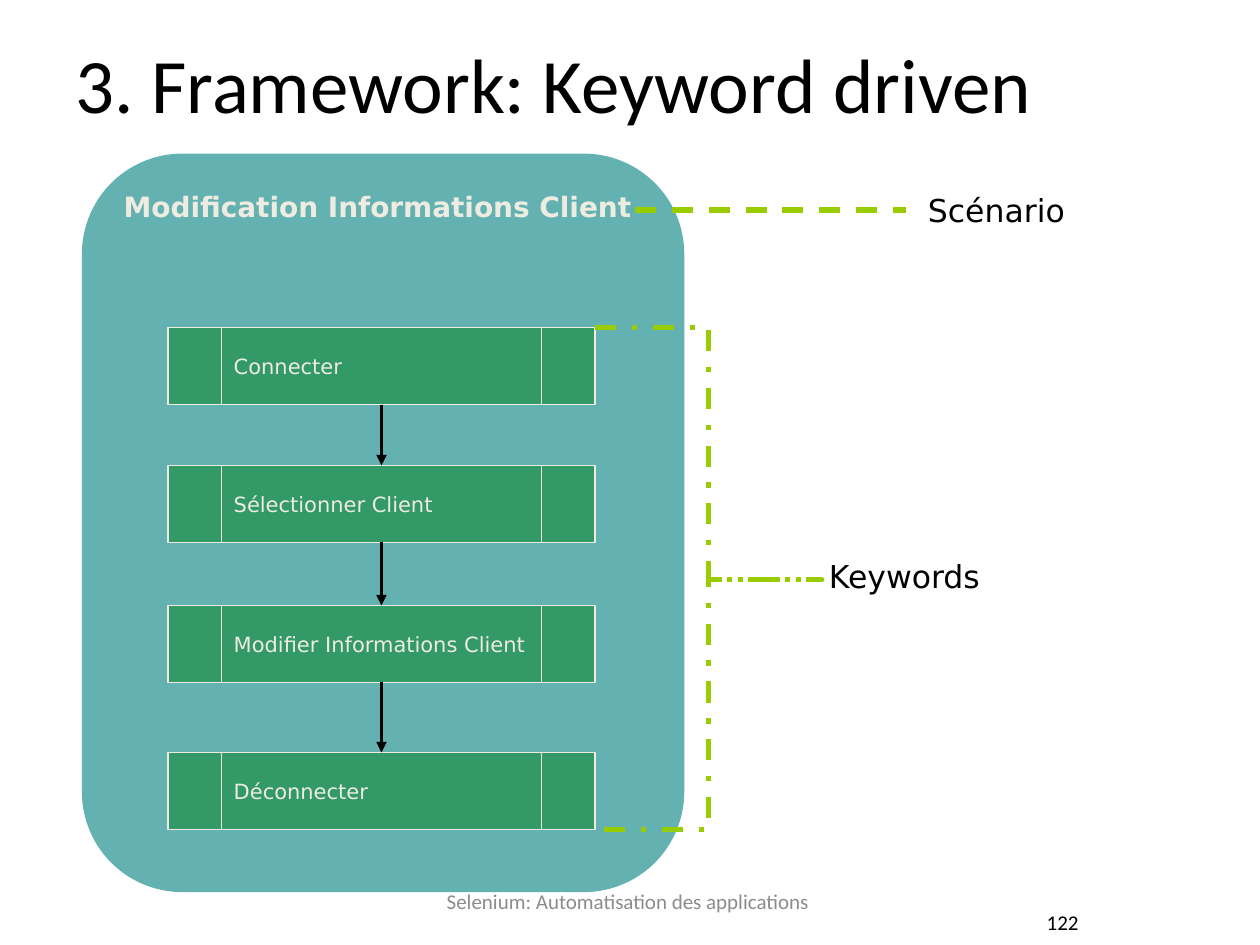
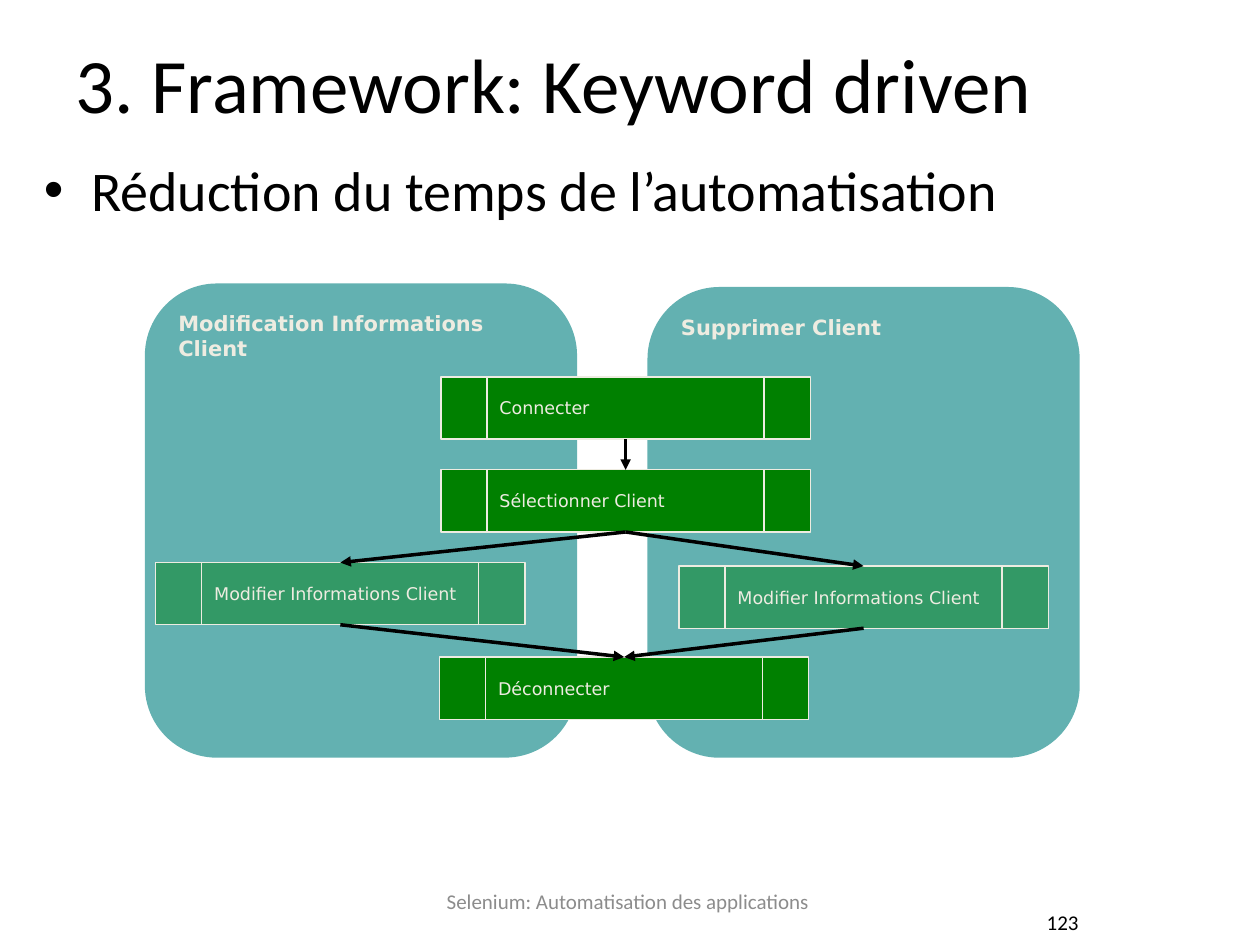
from dataclasses import dataclass
from itertools import pairwise

from lxml import etree
from pptx import Presentation
from pptx.dml.color import RGBColor
from pptx.enum.dml import MSO_LINE
from pptx.enum.shapes import MSO_CONNECTOR, MSO_SHAPE
from pptx.enum.text import MSO_ANCHOR, MSO_AUTO_SIZE, PP_ALIGN
from pptx.oxml.ns import qn
from pptx.util import Pt

ROUNDED, PROCESS, BRACE = (
    MSO_SHAPE.ROUNDED_RECTANGLE,
    MSO_SHAPE.FLOWCHART_PREDEFINED_PROCESS,
    MSO_SHAPE.RIGHT_BRACE,
)
STRAIGHT = MSO_CONNECTOR.STRAIGHT
DASH, DASH_DOT = MSO_LINE.DASH, MSO_LINE.DASH_DOT
TOP, MIDDLE = MSO_ANCHOR.TOP, MSO_ANCHOR.MIDDLE
LEFT, CENTER, RIGHT = PP_ALIGN.LEFT, PP_ALIGN.CENTER, PP_ALIGN.RIGHT
FIT_NONE = MSO_AUTO_SIZE.NONE
TOP_SITE, BOTTOM_SITE = 0, 2
TITLE_ONLY = 5


@dataclass(frozen=True)
class Theme:
    text: str = "000000"
    muted: str = "8C8C8C"
    light: str = "EEECE1"
    panel: str = "008080"
    step: str = "339966"
    shared_step: str = "008000"
    accent: str = "99CC00"
    panel_opacity: int = 61
    title_font: str = "Calibri"
    diagram_font: str = "DejaVu Sans"
    title_size: int = 44
    bullet_size: int = 32
    label_size: int = 18
    footer_size: int = 12
    scenario_size: int = 16
    step_size: int = 12
    small_scenario_size: int = 12
    small_step_size: int = 10
    hairline: float = 0.75
    arrow_line: int = 2
    callout_line: int = 3


def rgb(value):
    return RGBColor.from_string(value)


def write(frame, text, *, size, font, color, bold=False, align=LEFT,
          anchor=TOP, wrap=True):
    frame.auto_size = FIT_NONE
    frame.word_wrap = wrap
    frame.vertical_anchor = anchor
    para = frame.paragraphs[0]
    para.alignment = align
    span = para.add_run()
    span.text = text
    span.font.size = Pt(size)
    span.font.name = font
    span.font.bold = bold
    span.font.color.rgb = rgb(color)
    return para


class Page:
    """Draws elements on the current slide in one style."""

    def __init__(self, deck, theme):
        self.deck = deck
        self.theme = theme
        self.slide = None

    def start(self, title, footer, number):
        theme = self.theme
        layout = self.deck.slide_layouts[TITLE_ONLY]
        self.slide = self.deck.slides.add_slide(layout)
        box = self.slide.shapes.title
        box.left, box.top, box.width, box.height = map(Pt, (36, 17.3, 648, 90))
        write(box.text_frame, title, size=theme.title_size,
              font=theme.title_font, color=theme.text)
        self.text(footer, 244.7, 500.4, 228.2, 28.8, size=theme.footer_size,
                  color=theme.muted, align=CENTER, anchor=MIDDLE)
        self.text(number, 541.4, 511.2, 82.1, 31, size=theme.footer_size,
                  align=RIGHT, anchor=MIDDLE)

    def text(self, text, left, top, width, height, **style):
        style = {"font": self.theme.title_font, "color": self.theme.text} | style
        box = self.slide.shapes.add_textbox(*map(Pt, (left, top, width, height)))
        return write(box.text_frame, text, **style)

    def label(self, text, left, top):
        self.text(text, left, top, 110, 29, size=self.theme.label_size,
                  font=self.theme.diagram_font)

    def bullet(self, text, left, top, width, height, indent=27):
        para = self.text(text, left, top, width, height,
                         size=self.theme.bullet_size)
        para.line_spacing = 1.5
        properties = para._p.get_or_add_pPr()
        properties.set("marL", str(Pt(indent)))
        properties.set("indent", str(-Pt(indent)))
        etree.SubElement(properties, qn("a:buFont")).set("typeface", "Arial")
        etree.SubElement(properties, qn("a:buChar")).set("char", "•")

    def shape(self, kind, left, top, width, height, fill=None, line=None,
              weight=None, dash=None):
        shape = self.slide.shapes.add_shape(
            kind, *map(Pt, (left, top, width, height)))
        shape.shadow.inherit = False
        if fill:
            shape.fill.solid()
            shape.fill.fore_color.rgb = rgb(fill)
        else:
            shape.fill.background()
        if line:
            self.stroke(shape.line, line, weight, dash)
        else:
            shape.line.fill.background()
        return shape

    def stroke(self, line, color, weight, dash=None):
        line.color.rgb = rgb(color)
        line.width = Pt(weight)
        if dash:
            line.dash_style = dash

    def panel(self, text, left, top, width, height, size):
        """Draw a translucent scenario panel with its name at the top."""
        theme = self.theme
        shape = self.shape(ROUNDED, left, top, width, height, fill=theme.panel)
        color = shape.fill._xPr.find(qn("a:solidFill"))[0]
        etree.SubElement(color, qn("a:alpha")).set(
            "val", str(theme.panel_opacity * 1000))
        write(shape.text_frame, text, size=size, font=theme.diagram_font,
              color=theme.light, bold=True)

    def step(self, text, left, top, width, height, size, fill):
        theme = self.theme
        shape = self.shape(PROCESS, left, top, width, height, fill=fill,
                           line=theme.light, weight=theme.hairline)
        write(shape.text_frame, text, size=size, font=theme.diagram_font,
              color=theme.light, anchor=MIDDLE, wrap=False)
        return shape

    def line(self, start, end, color, weight, dash=None):
        line = self.slide.shapes.add_connector(
            STRAIGHT, *map(Pt, (*start, *end)))
        self.stroke(line.line, color, weight, dash)
        etree.SubElement(line._element.spPr, qn("a:effectLst"))
        return line

    def arrow(self, source, target):
        """Link the bottom of one step to the top of another."""
        line = self.line((0, 0), (0, 0), self.theme.text, self.theme.arrow_line)
        line.begin_connect(source, BOTTOM_SITE)
        line.end_connect(target, TOP_SITE)
        outline = line.line._get_or_add_ln()
        etree.SubElement(outline, qn("a:tailEnd")).set("type", "triangle")

    def brace(self, left, top, width, height, middle):
        theme = self.theme
        brace = self.shape(BRACE, left, top, width, height, line=theme.accent,
                           weight=theme.callout_line, dash=DASH_DOT)
        brace.adjustments[0] = 0
        brace.adjustments[1] = middle


TITLE = "3. Framework: Keyword driven"
FOOTER = "Selenium: Automatisation des applications"
SCENARIO = "Modification Informations Client"
CONNECT, SELECT, MODIFY, DISCONNECT = (
    "Connecter", "Sélectionner Client", "Modifier Informations Client",
    "Déconnecter")


def draw_scenario(page):
    theme = page.theme
    page.start(TITLE, FOOTER, "122")
    page.panel(SCENARIO, 46.8, 87.8, 344.2, 422, theme.scenario_size)
    step_tops = {CONNECT: 187.2, SELECT: 266, MODIFY: 346, DISCONNECT: 430}
    steps = [page.step(name, 96, top, 244, 44, theme.step_size, theme.step)
             for name, top in step_tops.items()]
    for source, target in pairwise(steps):
        page.arrow(source, target)
    page.line((363, 120), (518, 120), theme.accent, theme.callout_line, DASH)
    page.brace(340, 187.2, 129.6, 287, middle=0.502)
    page.label("Keywords", 466.6, 314.6)
    page.label("Scénario", 523.2, 105.8)


def draw_shared_steps(page):
    theme = page.theme
    page.start(TITLE, FOOTER, "123")
    page.bullet("Réduction du temps de l’automatisation", 18, 66.2, 684, 203.8)
    page.panel("Supprimer Client", 370, 164, 247, 269, theme.small_scenario_size)
    page.panel(SCENARIO, 82.8, 162, 247, 271, theme.small_scenario_size)

    def step(name, left, top, fill=theme.shared_step):
        return page.step(name, left, top, 211, 35.5, theme.small_step_size, fill)

    connect = step(CONNECT, 252, 215.4)
    select = step(SELECT, 252, 268.5)
    disconnect = step(DISCONNECT, 251.2, 375.5)
    page.arrow(connect, select)
    for left, top in ((89, 321.5), (388, 323.5)):
        modify = step(MODIFY, left, top, theme.step)
        page.arrow(select, modify)
        page.arrow(modify, disconnect)


def main():
    deck = Presentation()
    deck.slide_width, deck.slide_height = Pt(720), Pt(540)
    page = Page(deck, Theme())
    draw_scenario(page)
    draw_shared_steps(page)
    deck.save("out.pptx")


if __name__ == "__main__":
    main()
